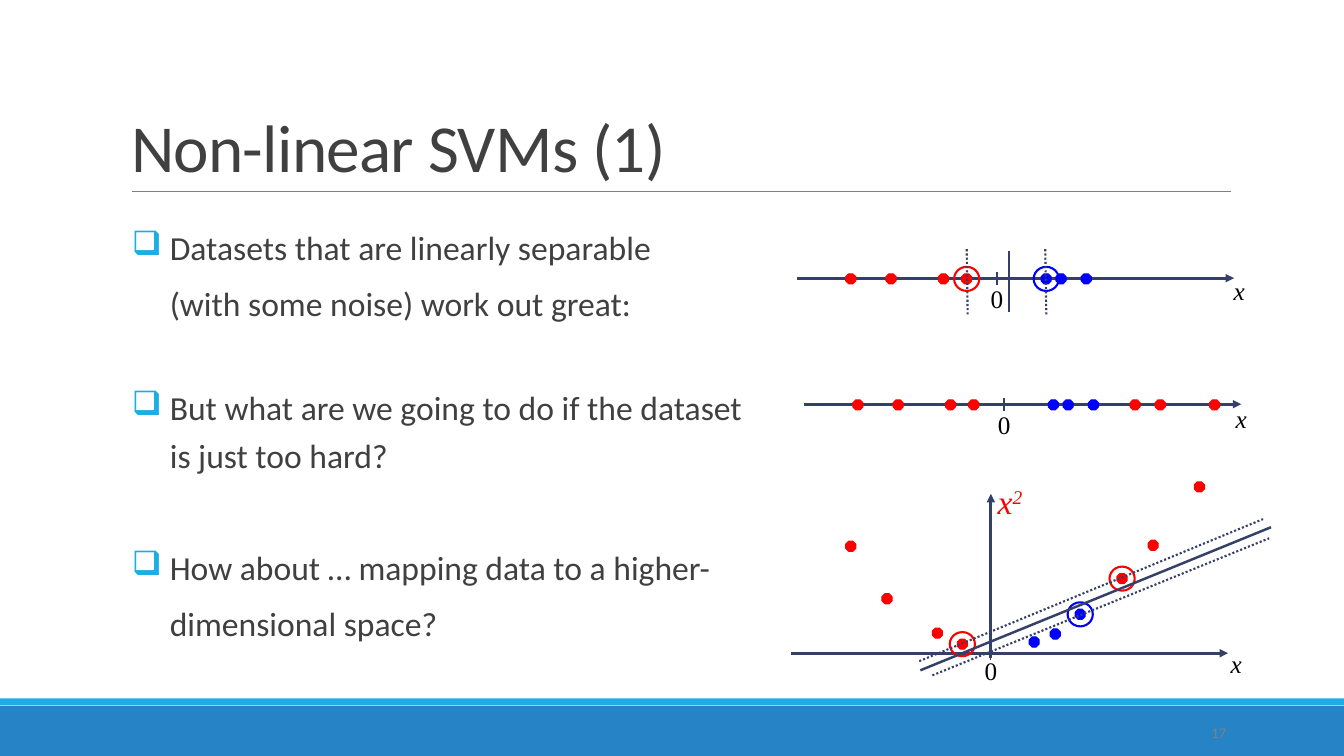
from dataclasses import dataclass

import pptx
import pptx.dml.color
import pptx.enum.dml
import pptx.enum.shapes
import pptx.enum.text
import pptx.oxml
import pptx.oxml.ns
import pptx.util
from lxml import etree

Pt = pptx.util.Pt
RGB = pptx.dml.color.RGBColor
SHAPE = pptx.enum.shapes.MSO_SHAPE
ANCHOR = pptx.enum.text.MSO_ANCHOR
ALIGN = pptx.enum.text.PP_ALIGN
DASH = pptx.enum.dml.MSO_LINE
qn = pptx.oxml.ns.qn

RED = RGB(0xFF, 0, 0)
BLUE = RGB(0, 0, 0xFF)
BLACK = RGB(0, 0, 0)
NAVY = RGB(0x34, 0x40, 0x68)
GREY = RGB(0x80, 0x80, 0x80)
DARK = RGB(0x40, 0x40, 0x40)
CYAN = RGB(0x1C, 0xAD, 0xE4)
BAND = RGB(0x26, 0x83, 0xC6)
SERIF = "Times New Roman"
SANS = "Calibri"


@dataclass
class Line:
    x1: float
    y1: float
    x2: float
    y2: float
    width: float = 1.5
    color: RGB = NAVY
    dotted: bool = False
    arrow: bool = False


@dataclass
class Dot:
    """A data point by its centre; support vectors are ringed."""
    x: float
    y: float
    color: RGB
    ringed: bool = False


@dataclass
class Axis:
    x: float
    y: float
    tick: float
    zero_dy: float
    label_dx: float
    label_dy: float


@dataclass
class Bullet:
    text: str
    before: float
    marked: bool


def add_shape(s, kind, x: float, y: float, w: float, h: float,
              fill=None, line=None, width: float = 0.75):
    sp = s.shapes.add_shape(kind, Pt(x), Pt(y), Pt(w), Pt(h))
    sp.shadow.inherit = False
    for part, color in ((sp.fill, fill), (sp.line.fill, line)):
        if color is None:
            part.background()
        else:
            part.solid()
            part.fore_color.rgb = color
    if line is not None:
        sp.line.width = Pt(width)
    return sp


def add_line(s, d: Line) -> None:
    c = s.shapes.add_connector(pptx.enum.shapes.MSO_CONNECTOR.STRAIGHT,
                               Pt(d.x1), Pt(d.y1), Pt(d.x2), Pt(d.y2))
    c.line.color.rgb = d.color
    c.line.width = Pt(d.width)
    if d.dotted:
        c.line.dash_style = DASH.ROUND_DOT
    if d.arrow:
        etree.SubElement(c.line._get_or_add_ln(), qn("a:tailEnd"), type="triangle")
    etree.SubElement(c._element.spPr, qn("a:effectLst"))


def add_dot(s, d: Dot) -> None:
    add_shape(s, SHAPE.OCTAGON, d.x - 3.6, d.y - 3.6, 7.2, 7.2, d.color, d.color)
    if d.ringed:
        add_shape(s, SHAPE.OVAL, d.x - 9, d.y - 8.6, 18, 17.2, line=d.color, width=1.5)


def add_run(p, text: str, size: float, color: RGB, name: str, italic: bool = False):
    r = p.add_run()
    r.text = text
    for key, value in {"size": Pt(size), "name": name, "italic": italic}.items():
        setattr(r.font, key, value)
    r.font.color.rgb = color
    return r


def add_label(s, text: str, x: float, y: float, w: float = 36, h: float = 28.8,
              size: float = 18, color: RGB = BLACK, name: str = SERIF):
    tf = s.shapes.add_textbox(Pt(x), Pt(y), Pt(w), Pt(h)).text_frame
    p = tf.paragraphs[0]
    add_run(p, text, size, color, name, italic=text == "x")
    return p


def add_axis(s, a: Axis) -> None:
    add_line(s, Line(a.x, a.y, a.x + 312, a.y, 2, arrow=True))
    add_line(s, Line(a.x + 142.6, a.y - 4.3, a.x + 142.6, a.y + 5, a.tick))
    add_label(s, "0", a.x + 131, a.y + a.zero_dy, 27.4)
    add_label(s, "x", a.x + a.label_dx, a.y + a.label_dy)


def add_title(s) -> None:
    sp = s.shapes.title
    sp.left, sp.top, sp.width, sp.height = Pt(86.4), Pt(22.3), Pt(792), Pt(114.5)
    tf = sp.text_frame
    tf.auto_size = pptx.enum.text.MSO_AUTO_SIZE.NONE
    tf.vertical_anchor = ANCHOR.BOTTOM
    p = tf.paragraphs[0]
    p.alignment = ALIGN.LEFT
    p.line_spacing = 0.85
    r = add_run(p, "Non-linear SVMs (1)", 48, DARK, SANS)
    r._r.get_or_add_rPr().set("spc", "-50")


def add_bullets(s, bullets: list[Bullet]) -> None:
    tf = s.shapes.add_textbox(Pt(94.3), Pt(162), Pt(448.6), Pt(301)).text_frame
    tf.word_wrap = True
    tf.margin_left = tf.margin_right = 0
    for i, b in enumerate(bullets):
        p = tf.add_paragraph() if i else tf.paragraphs[0]
        fmt = {"line_spacing": 0.9, "space_before": Pt(b.before), "space_after": Pt(2)}
        for key, value in fmt.items():
            setattr(p, key, value)
        pPr = p._p.get_or_add_pPr()
        pPr.set("marL", str(Pt(27)))
        if b.marked:
            pPr.set("indent", str(Pt(-27)))
            clr = etree.SubElement(pPr, qn("a:buClr"))
            etree.SubElement(clr, qn("a:srgbClr"), val=str(CYAN))
            etree.SubElement(pPr, qn("a:buChar"), char="❑")
        add_run(p, b.text, 24, DARK, SANS)


BULLETS = [
    Bullet("Datasets that are linearly separable", 12, True),
    Bullet("(with some noise) work out great:", 12, False),
    Bullet("But what are we going to do if the dataset", 46.4, True),
    Bullet("is just too hard?", 6, False),
    Bullet("How about … mapping data to a higher-", 52.4, True),
    Bullet("dimensional space?", 12, False),
]
EASY = Axis(569.5, 198.7, 1.5, 0, 304.6, -5.8)
HARD = Axis(574.6, 288.7, 1.5, 0, 301, -4.3)
MAPPED = Axis(565.2, 466.6, 0.75, -2.2, 306.7, -7.2)

# Offsets of the points along the one-dimensional axes
LEFT_REDS = [38.2, 67, 104.4, 121]
BLUES = [177.8, 188.4, 206.4]
RIGHT_REDS = [236.2, 254.2, 293]

MAPPED_DOTS = [
    Dot(607.7, 390.2, RED), Dot(633.6, 427.7, RED), Dot(669.6, 452.2, RED),
    Dot(687.4, 460.1, RED, True), Dot(738.7, 458.6, BLUE), Dot(753.8, 452.9, BLUE),
    Dot(771.6, 438.8, BLUE, True), Dot(801.5, 413.3, RED, True),
    Dot(823.7, 389.5, RED), Dot(856.8, 347.8, RED),
]
SEPARATORS = [
    Line(720.7, 179.3, 720.7, 223.2),
    Line(747.4, 224.6, 746.6, 177.1, dotted=True),
    Line(691.2, 224.6, 690.5, 177.1, dotted=True),
    Line(657.4, 478.8, 907.9, 376.6, 1.75),
    Line(656.6, 472.3, 902.2, 370.8, dotted=True),
    Line(666, 482.4, 906.5, 384.5, dotted=True),
]


def main() -> None:
    prs = pptx.Presentation()
    prs.slide_width, prs.slide_height = Pt(960), Pt(540)
    s = prs.slides.add_slide(prs.slide_layouts[5])

    # Footer bands, title rule, title, page number
    add_shape(s, SHAPE.RECTANGLE, 0, 504, 960, 36, BAND)
    add_shape(s, SHAPE.RECTANGLE, 0, 498.8, 960, 4.8, CYAN)
    add_line(s, Line(94.3, 136.8, 879.1, 136.8, 0.5, GREY))
    add_title(s)
    add_label(s, "17", 811, 513.2, 72, 20, 10.5, GREY, SANS).alignment = ALIGN.RIGHT
    add_bullets(s, BULLETS)

    # Axes
    for axis in (EASY, HARD, MAPPED):
        add_axis(s, axis)
    add_line(s, Line(707.8, 470.2, 707.8, 352.8, 2, arrow=True))
    p = add_label(s, "x", 705.6, 339.8, h=36, size=24, color=RED)
    r = add_run(p, "2", 24, RED, SERIF, italic=True)
    r._r.get_or_add_rPr().set("baseline", "30000")

    # Data points
    for axis, reds in ((EASY, LEFT_REDS), (HARD, LEFT_REDS + RIGHT_REDS)):
        for color, offsets, nearest in ((RED, reds, LEFT_REDS[-1]), (BLUE, BLUES, BLUES[0])):
            for dx in offsets:
                add_dot(s, Dot(axis.x + dx, axis.y + 0.5, color, axis is EASY and dx == nearest))
    for dot in MAPPED_DOTS:
        add_dot(s, dot)

    # Decision boundaries and margins
    for line in SEPARATORS:
        add_line(s, line)
    prs.save("out.pptx")


if __name__ == "__main__":
    main()
